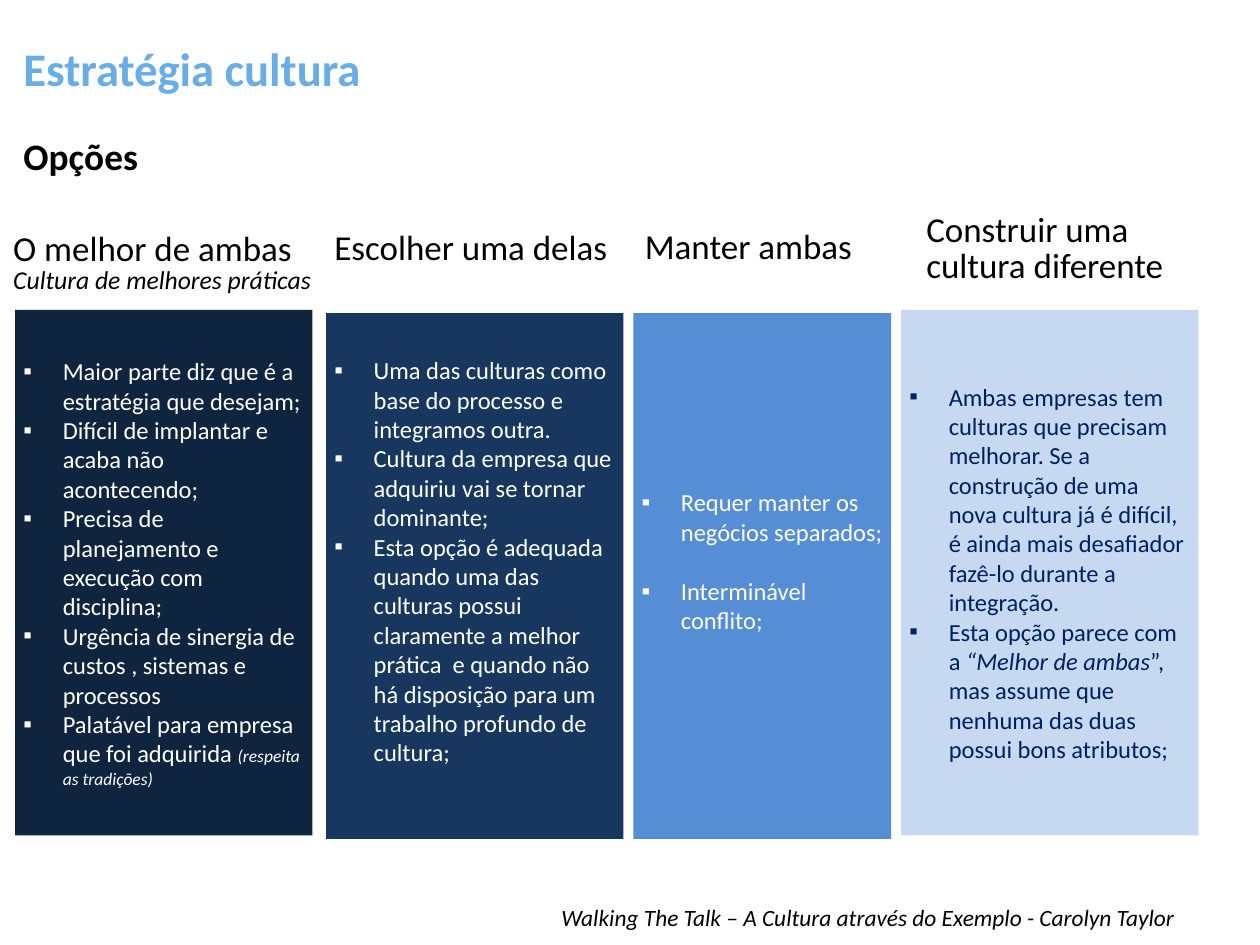
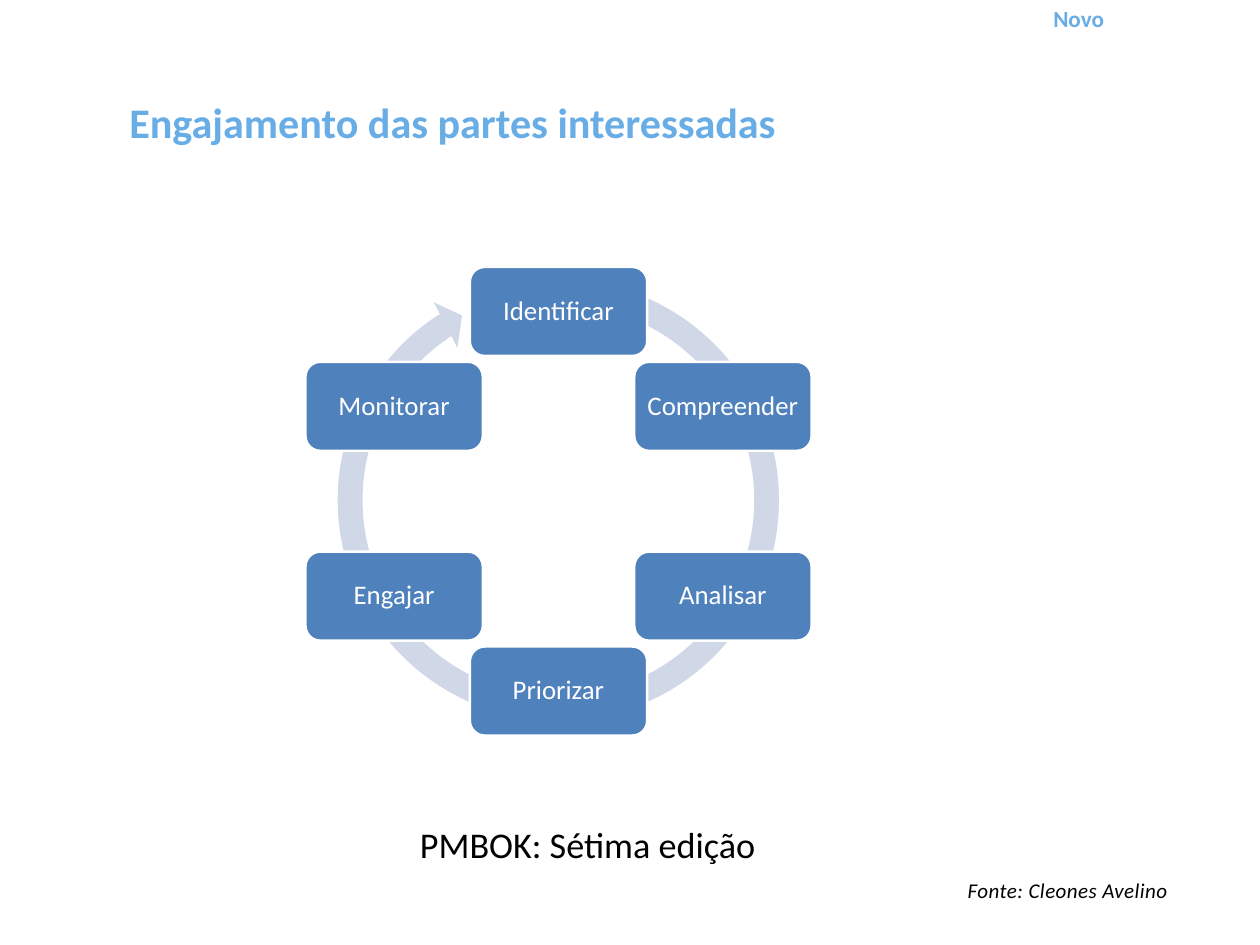
from dataclasses import dataclass
from math import cos, radians, sin
from pptx import Presentation
from pptx.dml.color import RGBColor
from pptx.enum.shapes import MSO_SHAPE
from pptx.enum.text import MSO_ANCHOR, PP_ALIGN
from pptx.oxml.ns import qn
from pptx.util import Cm, Pt
from lxml.etree import SubElement


@dataclass(frozen=True)
class Theme:
    face: str = "Calibri"
    title: str = "69ADE7"
    ink: str = "000000"
    pale: str = "FFFFFF"
    deep: str = "002060"
    ring: str = "D0D8E8"
    node: str = "4F81BD"
    fills: tuple = ("0F243E", "17375E", "558ED5", "C6D9F1")
    big: float = 40
    mid: float = 36.1
    sub: float = 32
    note: float = 31
    head: float = 30
    step: float = 23
    label: float = 22
    body: float = 21
    cite: float = 20
    tag: float = 19.8
    source: float = 18
    aside: float = 15


THEME = Theme()

HEADS = [
    ((0.15, 6.91, 9.91, 2.13),
     ["O melhor de ambas",
      [("Cultura de melhores práticas", {"size": THEME.label, "italic": True})]]),
    ((9.86, 6.88, 9.3, 1.35), ["Escolher uma delas"]),
    ((19.25, 6.86, 10.59, 1.35), ["Manter ambas"]),
    ((27.76, 6.35, 7.95, 2.44), ["Construir uma cultura diferente"]),
]

PANELS = [
    (0.46, 9.37, 8.99, 0.13, 0, THEME.pale, [
        "Maior parte diz que é a estratégia que desejam;",
        "Difícil de implantar e acaba não acontecendo;",
        "Precisa de planejamento e execução com disciplina;",
        "Urgência de sinergia de custos , sistemas e processos",
        ["Palatável para empresa que foi adquirida ",
         ("(respeita as tradições)", {"size": THEME.aside, "italic": True})]]),
    (9.86, 9.47, 8.99, 1.03, 0, THEME.pale, [
        "Uma das culturas como base do processo e integramos outra.",
        "Cultura da empresa que adquiriu vai se tornar dominante;",
        "Esta opção é adequada quando uma das culturas possui claramente a melhor "
        "prática  e quando não há disposição para um trabalho profundo de cultura;"]),
    (19.15, 9.47, 7.8, 1.03, 25.6, THEME.pale, [
        "Requer manter os negócios separados;",
        "Interminável conflito;"]),
    (27.25, 9.37, 8.99, 0.13, 0, THEME.deep, [
        "Ambas empresas tem culturas que precisam melhorar. Se a construção de uma "
        "nova cultura já é difícil, é ainda mais desafiador fazê-lo durante a integração.",
        ["Esta opção parece com a ", ("“Melhor de ambas", {"italic": True}),
         "”, mas assume que nenhuma das duas possui bons atributos;"]]),
]

STEPS = ["Identificar", "Compreender", "Analisar", "Priorizar", "Engajar", "Monitorar"]


def assign(target, values):
    for name, value in values.items():
        setattr(target, name, value)


def style(font, size=None, color=None, bold=None, italic=None):
    values = {"name": THEME.face, "size": size and Pt(size),
              "bold": bold, "italic": italic}
    assign(font, {name: value for name, value in values.items() if value is not None})
    if color:
        font.color.rgb = RGBColor.from_string(color)


def bullet(para):
    props = para._p.get_or_add_pPr()
    props.set("marL", str(Cm(1.19)))
    props.set("indent", str(-Cm(1.19)))
    SubElement(props, qn("a:buFont")).set("typeface", "Arial")
    SubElement(props, qn("a:buChar")).set("char", "▪")


def write(frame, paras, look, align=PP_ALIGN.LEFT, line=None, gap=0, marked=False):
    for index, parts in enumerate(paras):
        para = frame.add_paragraph() if index else frame.paragraphs[0]
        assign(para, {"alignment": align, "line_spacing": line})
        if index and gap:
            para.space_before = Pt(gap)
        if marked:
            bullet(para)
        for part in [parts] if isinstance(parts, str) else parts:
            text, extra = (part, {}) if isinstance(part, str) else part
            run = para.add_run()
            run.text = text
            style(run.font, **{**look, **extra})


def label(slide, box, paras, look, **layout):
    shape = slide.shapes.add_textbox(*map(Cm, box))
    shape.text_frame.word_wrap = True
    write(shape.text_frame, paras, look, **layout)
    return shape


def block(slide, kind, box, fill, edge=None):
    shape = slide.shapes.add_shape(kind, *map(Cm, box))
    shape.shadow.inherit = False
    shape.fill.solid()
    shape.fill.fore_color.rgb = RGBColor.from_string(fill)
    if edge:
        shape.line.color.rgb = RGBColor.from_string(edge)
        shape.line.width = Pt(2)
    else:
        shape.line.fill.background()
    assign(shape.text_frame, {"word_wrap": True, "vertical_anchor": MSO_ANCHOR.MIDDLE})
    return shape


def title(slide, box, paras, size, **layout):
    look = {"size": size, "color": THEME.title, "bold": True}
    return label(slide, box, paras, look, **layout)


def panel(slide, left, top, width, base, gap, color, paras, fill):
    shape = block(slide, MSO_SHAPE.RECTANGLE, (left, top, width, 15.9), fill)
    shape.text_frame.margin_bottom = Cm(base)
    write(shape.text_frame, paras, {"size": THEME.body, "color": color},
          gap=gap, marked=True)


def cycle(slide, steps):
    arrow = block(slide, MSO_SHAPE.CIRCULAR_ARROW, (9.81, 8.05, 14.15, 14.15), THEME.ring)
    for index, value in enumerate((0.053, 3.126, 142.332, 171.241, 0.055)):
        arrow.adjustments[index] = value
    mid, axis, radius = 16.89, 15.16, 5.74
    width, height = 5.36, 2.69
    for index, name in enumerate(steps):
        angle = radians(index * 360 / len(steps))
        left = mid + radius * sin(angle) - width / 2
        top = axis - radius * cos(angle) - height / 2
        shape = block(slide, MSO_SHAPE.ROUNDED_RECTANGLE,
                      (left, top, width, height), THEME.node, THEME.pale)
        assign(shape.text_frame, {"margin_left": 0, "margin_right": 0})
        write(shape.text_frame, [name], {"size": THEME.step, "color": THEME.pale},
              align=PP_ALIGN.CENTER, line=0.9)


def culture(slide):
    for (box, paras), data, fill in zip(HEADS, PANELS, THEME.fills):
        label(slide, box, paras, {"size": THEME.head, "color": THEME.ink}, line=0.85)
        panel(slide, *data, fill)
    label(slide, (14.81, 27.31, 20.96, 0.99),
          ["Walking The Talk – A Cultura através do Exemplo - Carolyn Taylor"],
          {"size": THEME.cite, "color": THEME.ink, "italic": True},
          align=PP_ALIGN.RIGHT, line=0.85)
    title(slide, (0.46, 1.09, 33.58, 1.8),
          ["Estratégia cultura",
           [("Opções", {"size": THEME.sub, "color": THEME.ink})]],
          THEME.big, gap=32)


def engage(slide):
    title(slide, (3.66, 3.1, 20.7, 1.63), ["Engajamento das partes interessadas"],
          THEME.mid, line=0.8)
    cycle(slide, STEPS)
    label(slide, (12.45, 24.74, 10.69, 1.57), ["PMBOK: Sétima edição"],
          {"size": THEME.note, "color": THEME.ink})
    source = label(slide, (29.26, 26.34, 8.4, 0.97), ["Fonte: Cleones Avelino"],
                   {"size": THEME.source, "color": THEME.ink, "italic": True})
    assign(source.text_frame, {"margin_left": 0, "margin_top": Cm(0.18),
                               "margin_right": 0, "margin_bottom": 0,
                               "vertical_anchor": MSO_ANCHOR.MIDDLE})
    source.text_frame.paragraphs[0].runs[0]._r.get_or_add_rPr().set("spc", "40")
    title(slide, (31.6, 0, 4.6, 0.97), ["Novo"], THEME.tag)


def main():
    deck = Presentation()
    assign(deck, {"slide_width": Cm(38.1), "slide_height": Cm(28.58)})
    for build in (culture, engage):
        build(deck.slides.add_slide(deck.slide_layouts[6]))
    deck.save("out.pptx")


if __name__ == "__main__":
    main()
